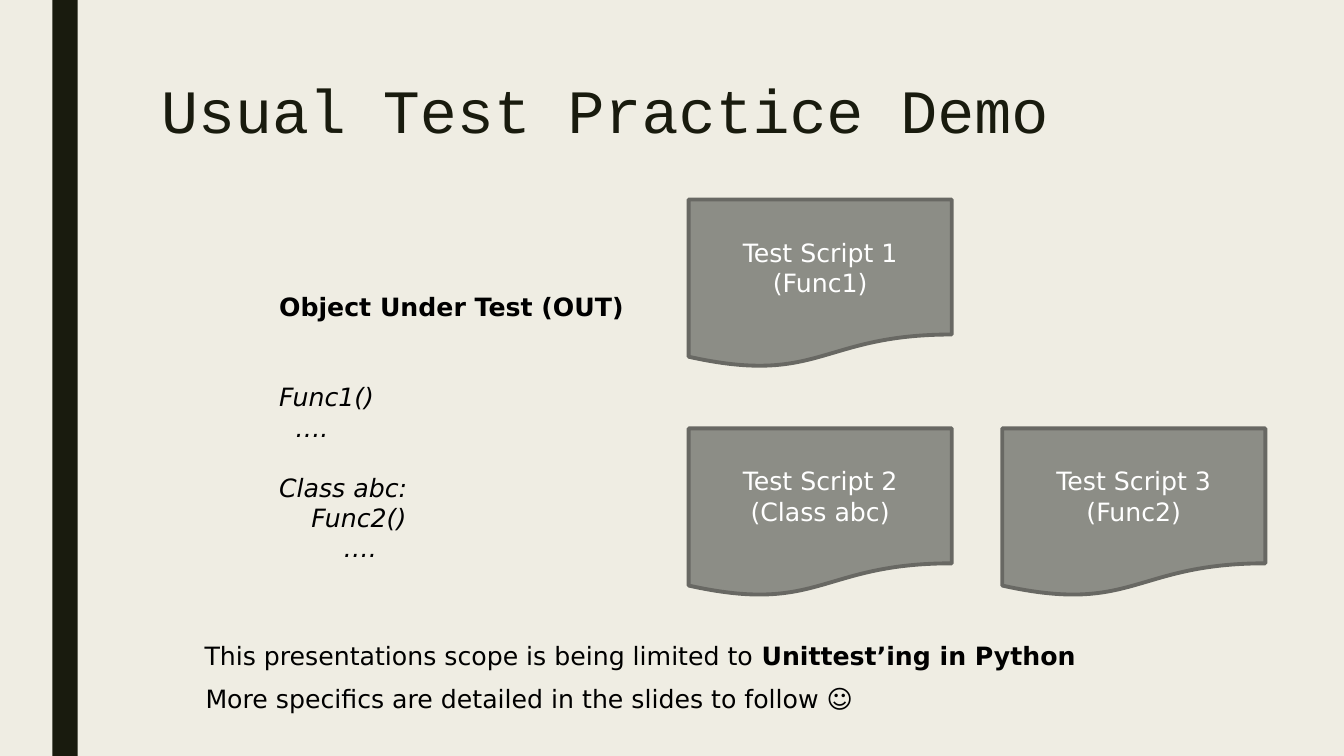
from dataclasses import dataclass

from pptx import Presentation
from pptx.dml.color import RGBColor
from pptx.enum.shapes import MSO_SHAPE as Shape
from pptx.enum.text import MSO_ANCHOR as Anchor, PP_ALIGN as Align
from pptx.util import Inches, Pt


@dataclass(frozen=True)
class Theme:
    background: str = "EFEDE3"
    dark: str = "191B0E"
    text: str = "000000"
    script_fill: str = "8C8D86"
    script_line: str = "686863"
    script_text: str = "FFFFFF"
    title_font: str = "Courier New"
    body_font: str = "DejaVu Sans"
    title_size: float = 44
    body_size: float = 18
    line_height: float = 21.5


THEME = Theme()

TITLE = "Usual Test Practice Demo"
OUT_HEADING = "Object Under Test (OUT)"
# text, indent steps, empty lines above
OUT_CODE = [
    ("Func1()", 0, 2),
    ("….", 1, 0),
    ("Class abc:", 0, 1),
    ("Func2()", 2, 0),
    ("….", 4, 0),
]
# name, tested item, column, row
SCRIPTS = [
    ("Test Script 1", "(Func1)", 0, 0),
    ("Test Script 2", "(Class abc)", 0, 1),
    ("Test Script 3", "(Func2)", 1, 1),
]
SCOPE, SCOPE_TOPIC = "This presentations scope is being limited to ", "Unittest’ing in Python"
FOLLOW_UP = "More specifics are detailed in the slides to follow ☺"

INDENT_STEP = 0.16
SCRIPT_LEFT, SCRIPT_TOP = 6.83, 1.98
SCRIPT_WIDTH, SCRIPT_HEIGHT = 2.61, 1.67
COLUMN_STEP, ROW_STEP = 3.11, 2.27


def rgb(value):
    return RGBColor.from_string(value)


def add_run(p, text, color=THEME.text, font=THEME.body_font, size=THEME.body_size,
            bold=False, italic=False):
    r = p.add_run()
    r.text = text
    r.font.name, r.font.size = font, Pt(size)
    r.font.bold, r.font.italic = bold, italic
    r.font.color.rgb = rgb(color)


def add_text_box(slide, left, top, width, height):
    box = slide.shapes.add_textbox(*map(Inches, (left, top, width, height)))
    tf = box.text_frame
    tf.word_wrap = True
    return tf


def add_filled_shape(slide, kind, left, top, width, height, fill):
    s = slide.shapes.add_shape(kind, *map(Inches, (left, top, width, height)))
    s.shadow.inherit = False
    s.fill.solid()
    s.fill.fore_color.rgb = rgb(fill)
    s.line.fill.background()
    return s


def add_title(slide):
    p = add_text_box(slide, 1.5, 0.75, 10.5, 1.62).paragraphs[0]
    p.line_spacing = 0.89
    add_run(p, TITLE, THEME.dark, THEME.title_font, THEME.title_size)


def add_object_under_test(slide):
    tf = add_text_box(slide, 2.67, 2.84, 3.98, 2.83)
    add_run(tf.paragraphs[0], OUT_HEADING, bold=True)
    for text, steps, empty_lines in OUT_CODE:
        p = tf.add_paragraph()
        p.space_before = Pt(empty_lines * THEME.line_height)
        p._p.get_or_add_pPr().set("marL", str(Inches(steps * INDENT_STEP)))
        add_run(p, text, italic=True)


def add_test_script(slide, name, tested, column, row):
    s = add_filled_shape(slide, Shape.FLOWCHART_DOCUMENT,
                         SCRIPT_LEFT + column * COLUMN_STEP, SCRIPT_TOP + row * ROW_STEP,
                         SCRIPT_WIDTH, SCRIPT_HEIGHT, THEME.script_fill)
    s.line.color.rgb = rgb(THEME.script_line)
    s.line.width = Pt(2.75)
    tf = s.text_frame
    tf.vertical_anchor = Anchor.MIDDLE
    p = tf.paragraphs[0]
    p.alignment = Align.CENTER
    add_run(p, name, THEME.script_text)
    p.add_line_break()
    add_run(p, tested, THEME.script_text)


def add_closing_lines(slide):
    p = add_text_box(slide, 1.93, 6.3, 9.41, 0.4).paragraphs[0]
    add_run(p, SCOPE)
    add_run(p, SCOPE_TOPIC, bold=True)
    p = add_text_box(slide, 1.94, 6.73, 9.41, 0.4).paragraphs[0]
    add_run(p, FOLLOW_UP)


def main():
    prs = Presentation()
    prs.slide_width, prs.slide_height = Inches(13.33), Inches(7.5)
    slide = prs.slides.add_slide(prs.slide_layouts[6])
    slide.background.fill.solid()
    slide.background.fill.fore_color.rgb = rgb(THEME.background)

    add_filled_shape(slide, Shape.RECTANGLE, 0.52, 0, 0.25, 7.5, THEME.dark)
    add_title(slide)
    add_object_under_test(slide)
    for script in SCRIPTS:
        add_test_script(slide, *script)
    add_closing_lines(slide)
    prs.save("out.pptx")


if __name__ == "__main__":
    main()
